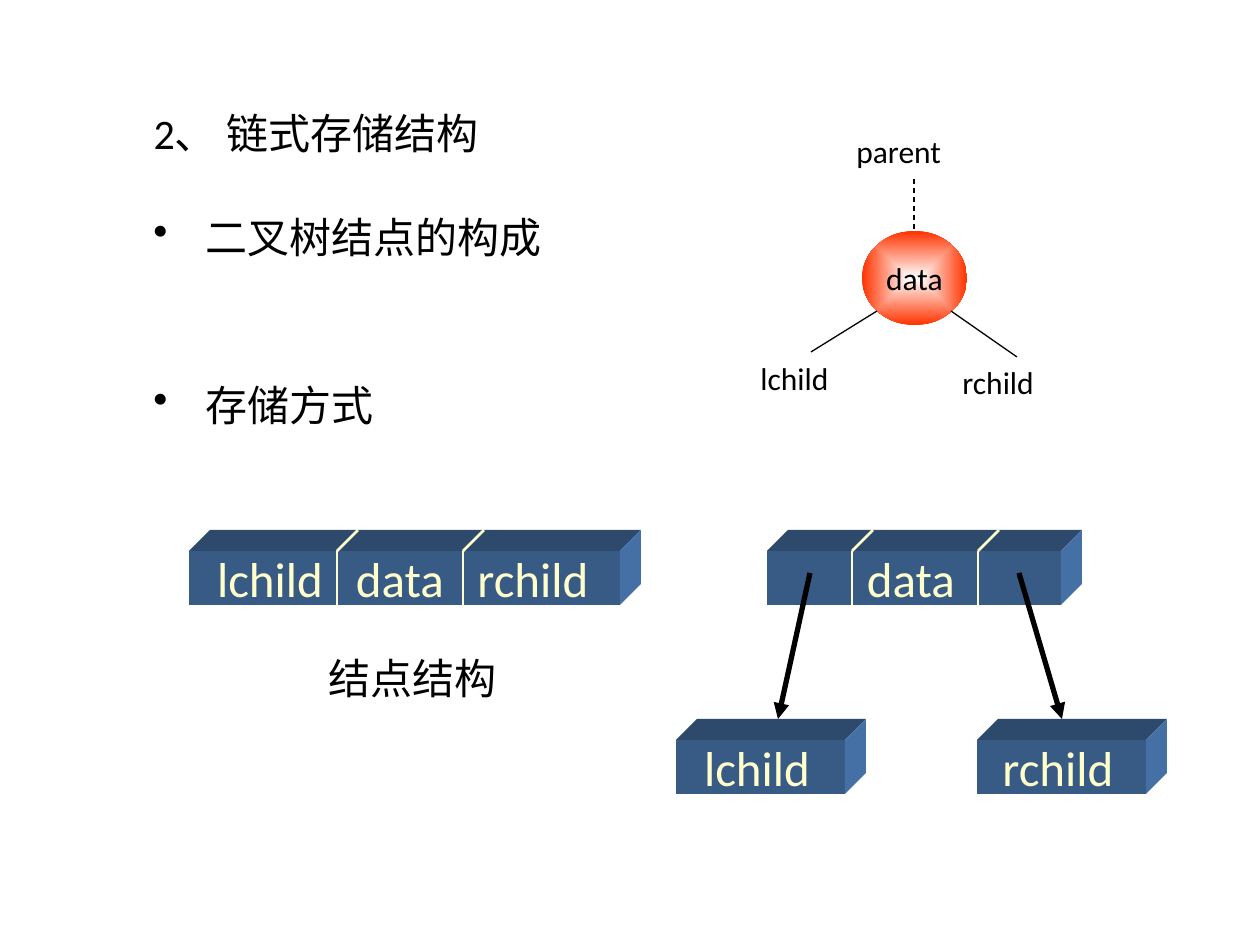
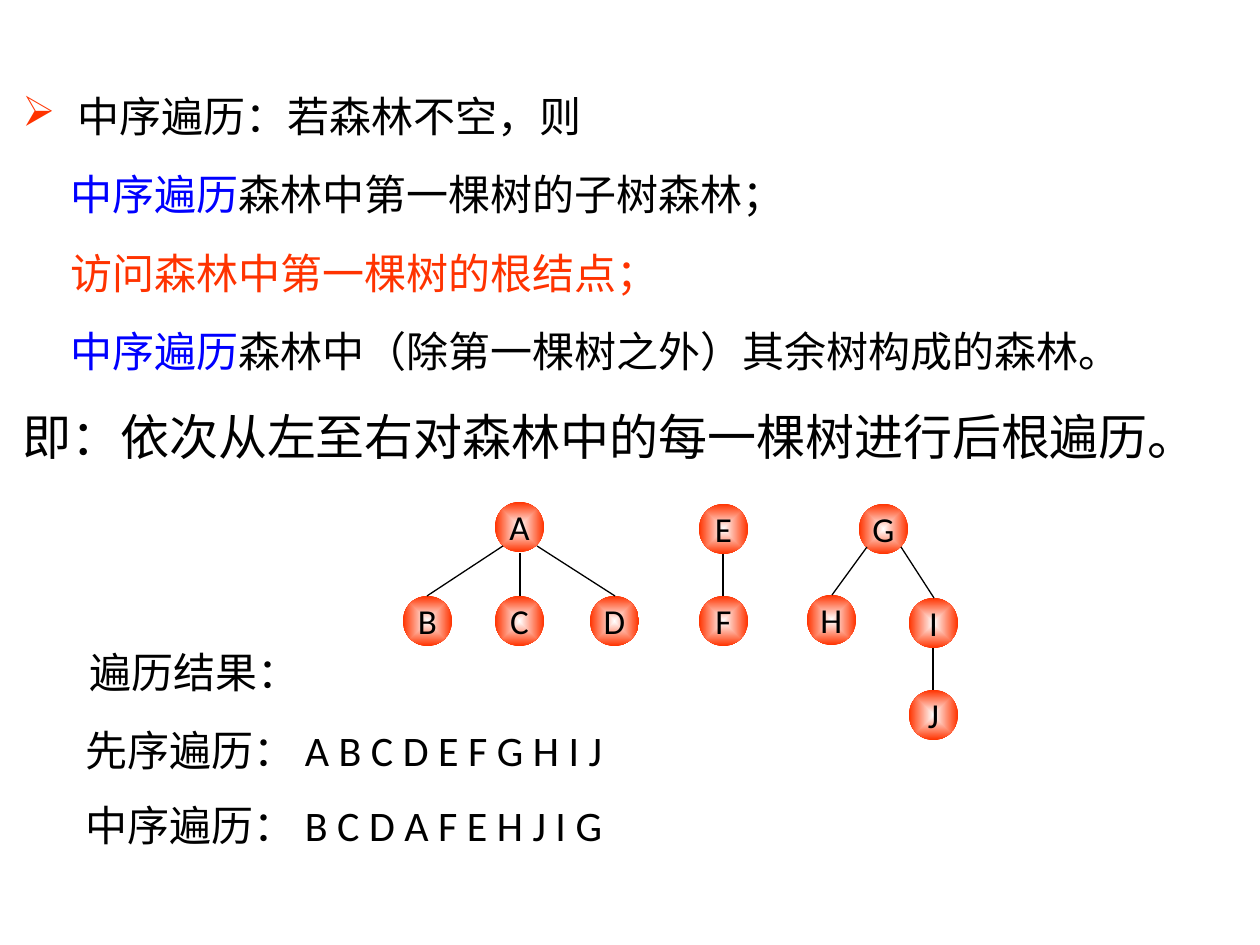
import lxml.etree
import pptx
import pptx.dml.color
import pptx.enum.dml
import pptx.enum.shapes
import pptx.enum.text
import pptx.oxml.ns
import pptx.util

RGB = pptx.dml.color.RGBColor
BLACK = RGB(0x00, 0x00, 0x00)
WHITE = RGB(0xFF, 0xFF, 0xFF)
ORANGE = RGB(0xFF, 0x33, 0x00)
BLUE = RGB(0x00, 0x00, 0xFF)
CREAM = RGB(0xFF, 0xFF, 0xCC)
BLOCK_FRONT = RGB(0x37, 0x5B, 0x85)
BLOCK_TOP = RGB(0x2D, 0x4A, 0x6D)
BLOCK_SIDE = RGB(0x44, 0x70, 0xA5)

PX = 914400 / 126
LATIN = "Calibri"
CJK = "Noto Sans CJK SC"
qn = pptx.oxml.ns.qn
SubElement = lxml.etree.SubElement
SHAPE = pptx.enum.shapes.MSO_SHAPE
ALIGN = pptx.enum.text.PP_ALIGN
ANCHOR = pptx.enum.text.MSO_ANCHOR


def add_run(p, text, size, color, font=LATIN):
    r = p.add_run()
    r.text = text
    r.font.size = pptx.util.Pt(size)
    r.font.name = font
    r.font.color.rgb = color


def add_line(s, x1, y1, x2, y2, color=BLACK, width=0.75):
    ends = [round(v * PX) for v in (x1, y1, x2, y2)]
    line = s.shapes.add_connector(pptx.enum.shapes.MSO_CONNECTOR.STRAIGHT, *ends)
    line.line.color.rgb = color
    line.line.width = pptx.util.Pt(width)
    SubElement(line._element.spPr, qn("a:effectLst"))
    return line


prs = pptx.Presentation()
prs.slide_width = round(1260 * PX)
prs.slide_height = round(945 * PX)
storage = prs.slides.add_slide(prs.slide_layouts[5])
forest = prs.slides.add_slide(prs.slide_layouts[6])

title = storage.shapes.title
title.left, title.top, title.width, title.height = [round(v * PX) for v in (141, 106, 420, 58)]
tf = title.text_frame
tf.auto_size = pptx.enum.text.MSO_AUTO_SIZE.NONE
tf.vertical_anchor = ANCHOR.BOTTOM
tf.paragraphs[0].alignment = ALIGN.LEFT
add_run(tf.paragraphs[0], "2、 链式存储结构", 24, BLACK)

block_height, depth = 54, 21
for x, y, w in [(189, 551, 431), (767, 551, 294), (977, 740, 169), (676, 740, 169)]:
    right, bottom = x + w, y + block_height
    faces = [
        (BLOCK_FRONT, [(x, y), (right, y), (right, bottom), (x, bottom)]),
        (BLOCK_TOP, [(x, y), (x + depth, y - depth), (right + depth, y - depth), (right, y)]),
        (BLOCK_SIDE, [(right, y), (right + depth, y - depth), (right + depth, bottom - depth), (right, bottom)]),
    ]
    for color, points in faces:
        outline = storage.shapes.build_freeform(*points[0], scale=PX)
        outline.add_line_segments(points[1:])
        sp = outline.convert_to_shape()
        sp.shadow.inherit = False
        sp.fill.solid()
        sp.fill.fore_color.rgb = color
        sp.line.fill.background()

nodes = [(storage, "data", 862, 231, 105, 94, 18)]
for label, x, y in [
    ("A", 495, 502), ("B", 403, 596), ("C", 495, 596), ("D", 590, 596), ("E", 699, 504),
    ("F", 699, 596), ("G", 859, 504), ("H", 807, 595), ("I", 909, 598), ("J", 909, 690),
]:
    nodes.append((forest, label, x, y, 49, 50, 20))
for s, label, x, y, w, h, size in nodes:
    sp = s.shapes.add_shape(SHAPE.OVAL, *[round(v * PX) for v in (x, y, w, h)])
    sp.shadow.inherit = False
    sp.line.fill.background()
    sp.fill.gradient()
    for stop, color in zip(sp.fill.gradient_stops, (WHITE, ORANGE)):
        stop.color.rgb = color
    grad = sp._element.spPr.find(qn("a:gradFill"))
    grad.remove(grad.find(qn("a:lin")))
    center = SubElement(grad, qn("a:path"), {"path": "shape"})
    SubElement(center, qn("a:fillToRect"), {side: "50000" for side in "ltrb"})
    tf = sp.text_frame
    tf.word_wrap = False
    tf.vertical_anchor = ANCHOR.MIDDLE
    tf.paragraphs[0].alignment = ALIGN.CENTER
    add_run(tf.paragraphs[0], label, size, BLACK)

for text, middle, y in [
    ("lchild", 270, 542), ("data", 400, 542), ("rchild", 533, 542),
    ("data", 911, 542), ("rchild", 1058, 731), ("lchild", 757, 731),
]:
    sp = storage.shapes.add_textbox(*[round(v * PX) for v in (middle - 70, y, 140, 72)])
    tf = sp.text_frame
    tf.word_wrap = False
    tf.vertical_anchor = ANCHOR.MIDDLE
    tf.paragraphs[0].alignment = ALIGN.CENTER
    add_run(tf.paragraphs[0], text, 28, CREAM)

steps = [
    ("➢", 55, [("中序遍历：若森林不空，则", BLACK)]),
    (None, 48, [("中序遍历", BLUE), ("森林中第一棵树的子树森林；", BLACK)]),
    (None, 48, [("访问森林中第一棵树的根结点；", ORANGE)]),
    (None, 48, [("中序遍历", BLUE), ("森林中（除第一棵树之外）其余树构成的森林。", BLACK)]),
]
texts = [
    (storage, 141, 373, 286, 63, 24, LATIN, 1, [("•", 52, [("存储方式", BLACK)])]),
    (storage, 141, 205, 442, 63, 24, LATIN, 1, [("•", 52, [("二叉树结点的构成", BLACK)])]),
    (storage, 316, 646, 205, 63, 24, LATIN, 1, [(None, 0, [("结点结构", BLACK)])]),
    (storage, 844, 126, 145, 63, 18, LATIN, 1, [(None, 0, [("parent", BLACK)])]),
    (storage, 748, 353, 126, 63, 18, LATIN, 1, [(None, 0, [("lchild", BLACK)])]),
    (storage, 950, 357, 132, 63, 18, LATIN, 1, [(None, 0, [("rchild", BLACK)])]),
    (forest, 10, 57, 1159, 325, 24, LATIN, 1.55, steps),
    (forest, 10, 389, 1229, 83, 28, LATIN, 1.2,
     [(None, 0, [("即：依次从左至右对森林中的每一棵树进行后根遍历。", BLACK)])]),
    (forest, 77, 640, 251, 63, 24, CJK, 1, [(None, 0, [("遍历结果：", BLACK)])]),
    (forest, 73, 718, 651, 63, 24, LATIN, 1, [(None, 0, [("先序遍历： A B C D E F G H I J", BLACK)])]),
    (forest, 73, 793, 651, 63, 24, LATIN, 1, [(None, 0, [("中序遍历： B C D A F E H J I G", BLACK)])]),
]
for s, x, y, w, h, size, font, spacing, lines in texts:
    sp = s.shapes.add_textbox(*[round(v * PX) for v in (x, y, w, h)])
    tf = sp.text_frame
    tf.word_wrap = True
    for i, (bullet, indent, runs) in enumerate(lines):
        p = tf.add_paragraph() if i else tf.paragraphs[0]
        p.line_spacing = spacing
        pPr = p._p.get_or_add_pPr()
        pPr.set("marL", str(round(indent * PX)))
        if bullet:
            pPr.set("indent", str(round(-indent * PX)))
            bullet_color = ORANGE if bullet == "➢" else BLACK
            SubElement(SubElement(pPr, qn("a:buClr")), qn("a:srgbClr"), {"val": str(bullet_color)})
            SubElement(pPr, qn("a:buChar"), {"char": bullet})
        for text, color in runs:
            add_run(p, text, size, color, font)

for x in (337, 463, 852, 978):
    add_line(storage, x, 605, x, 551, CREAM, 1.5)
    add_line(storage, x, 551, x + depth, 551 - depth, CREAM, 1.5)

for ends in [(1019, 573, 1062, 719), (810, 573, 778, 719)]:
    pointer = add_line(storage, *ends, width=3)
    SubElement(pointer.line._get_or_add_ln(), qn("a:tailEnd"), {"type": "triangle"})

add_line(storage, 877, 311, 811, 352)
add_line(storage, 951, 311, 1017, 357)
parent_link = add_line(storage, 914, 179, 914, 231)
parent_link.line.dash_style = pptx.enum.dml.MSO_LINE.DASH

for ends in [
    (503, 546, 427, 596), (520, 553, 520, 596), (537, 546, 615, 596), (723, 554, 723, 596),
    (867, 547, 832, 595), (901, 547, 934, 598), (933, 648, 933, 690),
]:
    add_line(forest, *ends)

prs.save("out.pptx")
